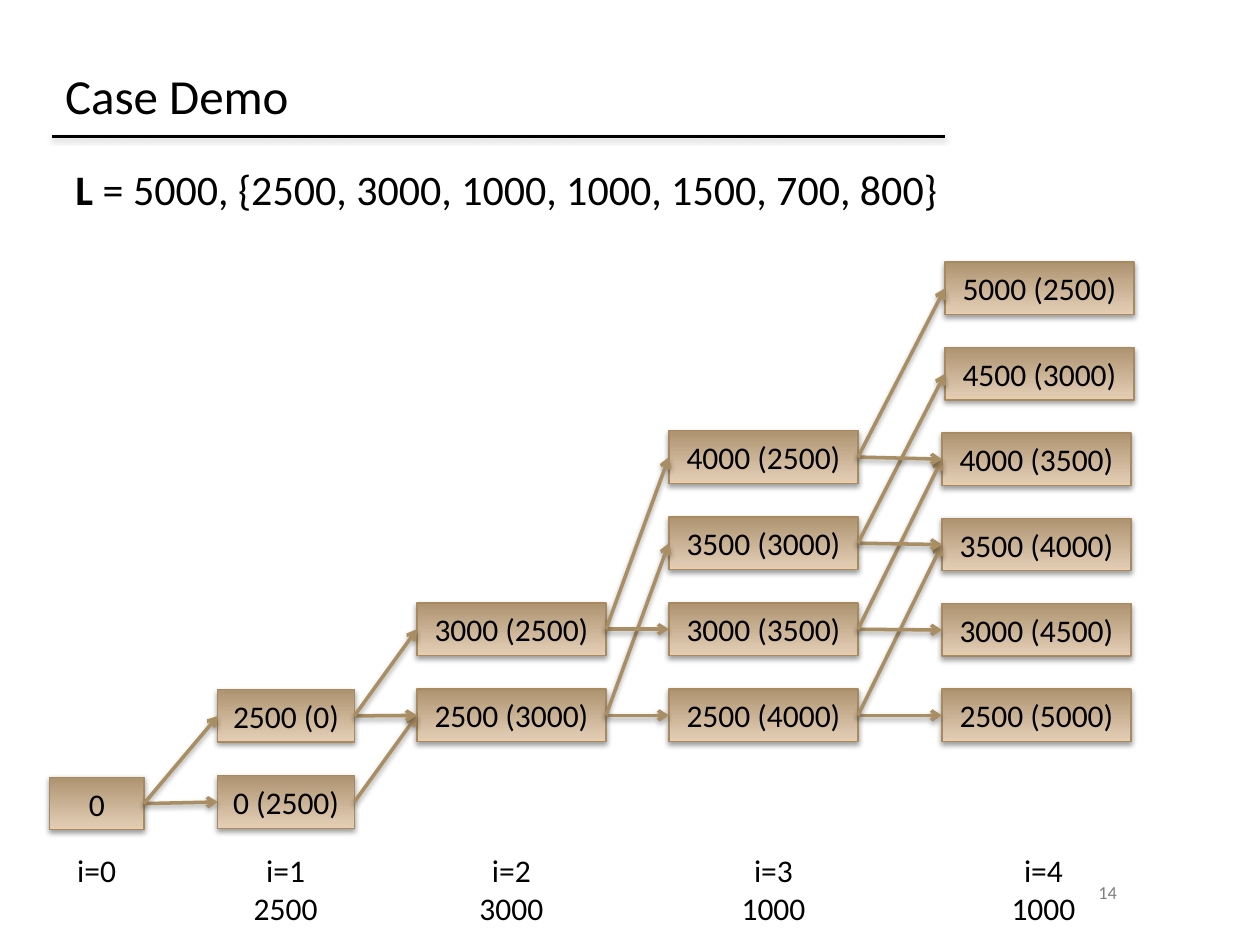
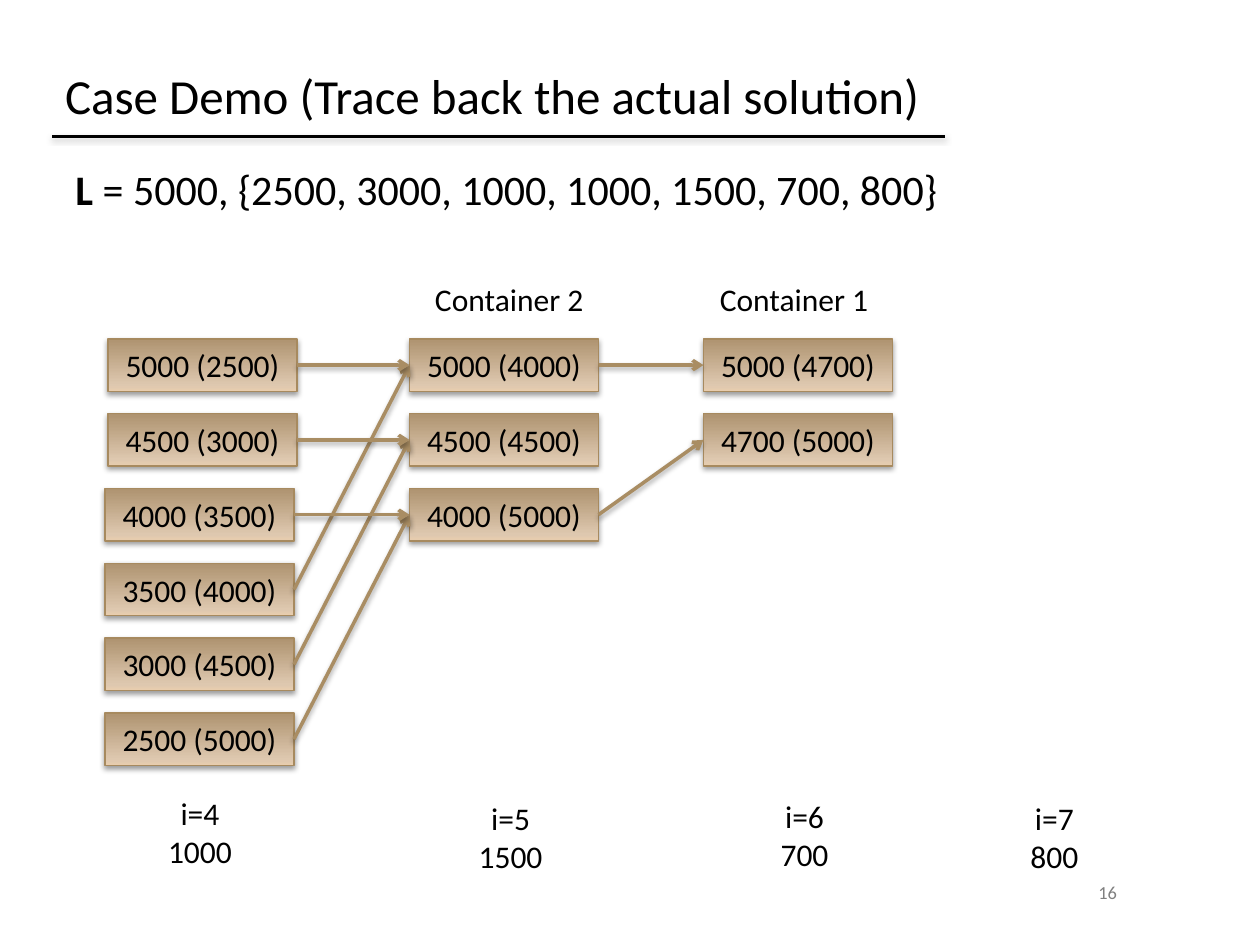
from dataclasses import dataclass

from pptx import Presentation
from pptx.dml.color import RGBColor
from pptx.enum.shapes import MSO_CONNECTOR, MSO_SHAPE
from pptx.enum.text import MSO_ANCHOR, MSO_AUTO_SIZE, PP_ALIGN
from pptx.oxml import parse_xml
from pptx.oxml.ns import nsdecls
from pptx.util import Pt


@dataclass(frozen=True)
class Theme:
    font: str = "Calibri"
    ink: str = "000000"
    muted: str = "808080"
    box_line: str = "A78A5F"
    arrow: str = "A98D63"
    gradient: tuple = ((0, "E8CDAE"), (12, "DEC8AF"), (100, "AE9370"))
    title_size: float = 28
    problem_size: float = 24
    label_size: float = 18
    number_size: float = 10.5


@dataclass(frozen=True)
class Stack:
    left: float
    width: float
    lowest: float
    pitch: float
    states: tuple


THEME = Theme()
BOX_HEIGHT = 30
CAPTION_WIDTH = 67.5

GROWTH_STACKS = (
    Stack(28.3, 54, 444.2, 0, ("0",)),
    Stack(124.5, 78, 443.3, 49.2, ("0 (2500)", "2500 (0)")),
    Stack(238.3, 108, 393.8, 49.2, ("2500 (3000)", "3000 (2500)")),
    Stack(382.3, 108, 393.8, 49.2,
          ("2500 (4000)", "3000 (3500)", "3500 (3000)", "4000 (2500)")),
    Stack(538.3, 108, 393.8, 48.8,
          ("2500 (5000)", "3000 (4500)", "3500 (4000)", "4000 (3500)")),
    Stack(540, 108, 198.6, 48.8, ("4500 (3000)", "5000 (2500)")),
)
GROWTH_STEPS = {
    "0": ("0 (2500)", "2500 (0)"),
    "0 (2500)": ("2500 (3000)",),
    "2500 (0)": ("2500 (3000)", "3000 (2500)"),
    "2500 (3000)": ("2500 (4000)", "3500 (3000)"),
    "3000 (2500)": ("3000 (3500)", "4000 (2500)"),
    "2500 (4000)": ("2500 (5000)", "3500 (4000)"),
    "3000 (3500)": ("3000 (4500)", "4000 (3500)"),
    "3500 (3000)": ("3500 (4000)", "4500 (3000)"),
    "4000 (2500)": ("4000 (3500)", "5000 (2500)"),
}
GROWTH_CAPTIONS = (
    (21.5, 483, ("i=0",)),
    (129.5, 483, ("i=1", "2500")),
    (258.5, 483, ("i=2", "3000")),
    (408.25, 483, ("i=3", "1000")),
    (562.5, 483, ("i=4", "1000")),
)

TRACE_STACKS = (
    Stack(60, 108, 407.4, 42.75,
          ("2500 (5000)", "3000 (4500)", "3500 (4000)", "4000 (3500)")),
    Stack(61.7, 108, 236.4, 42.75, ("4500 (3000)", "5000 (2500)")),
    Stack(234, 108, 279.15, 42.75,
          ("4000 (5000)", "4500 (4500)", "5000 (4000)")),
    Stack(402, 108, 236.4, 42.75, ("4700 (5000)", "5000 (4700)")),
)
TRACE_STEPS = {
    "2500 (5000)": ("4000 (5000)",),
    "3000 (4500)": ("4500 (4500)",),
    "3500 (4000)": ("5000 (4000)",),
    "4000 (3500)": ("4000 (5000)",),
    "4500 (3000)": ("4500 (4500)",),
    "5000 (2500)": ("5000 (4000)",),
    "4000 (5000)": ("4700 (5000)",),
    "5000 (4000)": ("5000 (4700)",),
}
TRACE_CAPTIONS = (
    (80.5, 450, ("i=4", "1000")),
    (258, 453, ("i=5", "1500")),
    (426, 452, ("i=6", "700")),
    (568.75, 453, ("i=7", "800")),
)


def rgb(value):
    return RGBColor.from_string(value)


def place(shape, left, top, width, height):
    shape.left, shape.top = Pt(left), Pt(top)
    shape.width, shape.height = Pt(width), Pt(height)


def style_paragraph(para, size, color=THEME.ink, align=PP_ALIGN.CENTER):
    para.alignment = align
    para.font.name = THEME.font
    para.font.size = Pt(size)
    para.font.color.rgb = rgb(color)


def add_shadow(shape, opacity, distance):
    shape._element.spPr.append(parse_xml(
        f'<a:effectLst {nsdecls("a")}>'
        f'<a:outerShdw blurRad="{Pt(3.15)}" dist="{Pt(distance)}" '
        'dir="5400000" rotWithShape="0">'
        f'<a:srgbClr val="{THEME.ink}"><a:alpha val="{opacity * 1000}"/>'
        '</a:srgbClr></a:outerShdw></a:effectLst>'))


def add_gradient(shape):
    stops = "".join(
        f'<a:gs pos="{position * 1000}"><a:srgbClr val="{color}"/></a:gs>'
        for position, color in THEME.gradient)
    shape._element.spPr.insert(2, parse_xml(
        f'<a:gradFill {nsdecls("a")} rotWithShape="1"><a:gsLst>{stops}'
        '</a:gsLst><a:lin ang="16200000" scaled="0"/></a:gradFill>'))


def add_text(page, left, top, width, height, lines,
             size=THEME.label_size, color=THEME.ink):
    box = page.shapes.add_textbox(Pt(left), Pt(top), Pt(width), Pt(height))
    frame = box.text_frame
    frame.word_wrap = True
    frame.text = "\n".join(lines)
    for para in frame.paragraphs:
        style_paragraph(para, size, color)
    return frame


def add_line(page, start, end, color, width):
    line = page.shapes.add_connector(
        MSO_CONNECTOR.STRAIGHT, *(Pt(value) for value in start + end))
    line.line.color.rgb = rgb(color)
    line.line.width = Pt(width)
    return line


def add_title(page, text):
    title = page.shapes.title
    place(title, 30, 24, 630, 60)
    frame = title.text_frame
    frame.text = text
    frame.auto_size = MSO_AUTO_SIZE.NONE
    frame.vertical_anchor = MSO_ANCHOR.MIDDLE
    style_paragraph(frame.paragraphs[0], THEME.title_size, align=PP_ALIGN.LEFT)
    rule = add_line(page, (30, 78), (540, 78), THEME.ink, 1.25)
    add_shadow(rule, 38, 1.6)


def add_number(page, number):
    frame = add_text(page, 612, 504, 42, 12, (number,),
                     THEME.number_size, THEME.muted)
    frame.margin_top = frame.margin_bottom = 0
    frame.vertical_anchor = MSO_ANCHOR.MIDDLE


def add_problem(page):
    frame = add_text(page, 36, 90, 570, 36, ("",))
    para = frame.paragraphs[0]
    style_paragraph(para, THEME.problem_size, align=PP_ALIGN.LEFT)
    span = para.add_run()
    span.text = "L"
    span.font.bold = True
    para.add_run().text = " = 5000, {2500, 3000, 1000, 1000, 1500, 700, 800}"


def add_state(page, left, top, width, text):
    box = page.shapes.add_shape(
        MSO_SHAPE.RECTANGLE, Pt(left), Pt(top), Pt(width), Pt(BOX_HEIGHT))
    add_gradient(box)
    box.line.color.rgb = rgb(THEME.box_line)
    box.line.width = Pt(0.75)
    add_shadow(box, 38, 1.6)
    frame = box.text_frame
    frame.word_wrap = True
    frame.vertical_anchor = MSO_ANCHOR.MIDDLE
    frame.text = text
    style_paragraph(frame.paragraphs[0], THEME.label_size)
    return box


def add_step(page, source, target):
    arrow = add_line(page, (0, 0), (0, 0), THEME.arrow, 2)
    arrow.begin_connect(source, 3)
    arrow.end_connect(target, 1)
    arrow.line._get_or_add_ln().append(
        parse_xml(f'<a:tailEnd {nsdecls("a")} type="arrow"/>'))
    add_shadow(arrow, 35, 1.8)


def add_graph(page, stacks, steps):
    boxes = {}
    for stack in stacks:
        for level, state in enumerate(stack.states):
            top = stack.lowest - level * stack.pitch
            boxes[state] = add_state(page, stack.left, top, stack.width, state)
    for source, targets in steps.items():
        for target in targets:
            add_step(page, boxes[source], boxes[target])


def add_demo(deck, title, number, stacks, steps, captions):
    page = deck.slides.add_slide(deck.slide_layouts[5])
    add_title(page, title)
    add_number(page, number)
    add_problem(page)
    add_graph(page, stacks, steps)
    for left, top, lines in captions:
        add_text(page, left, top, CAPTION_WIDTH, 7 + 22 * len(lines), lines)
    return page


def main():
    deck = Presentation()
    deck.slide_width, deck.slide_height = Pt(720), Pt(540)
    add_demo(deck, "Case Demo", "14",
             GROWTH_STACKS, GROWTH_STEPS, GROWTH_CAPTIONS)
    trace = add_demo(deck, "Case Demo (Trace back the actual solution)", "16",
                     TRACE_STACKS, TRACE_STEPS, TRACE_CAPTIONS)
    for left, heading in ((234, "Container 2"), (396.75, "Container 1")):
        add_text(trace, left, 156.5, 114, 29, (heading,))
    deck.save("out.pptx")


if __name__ == "__main__":
    main()
